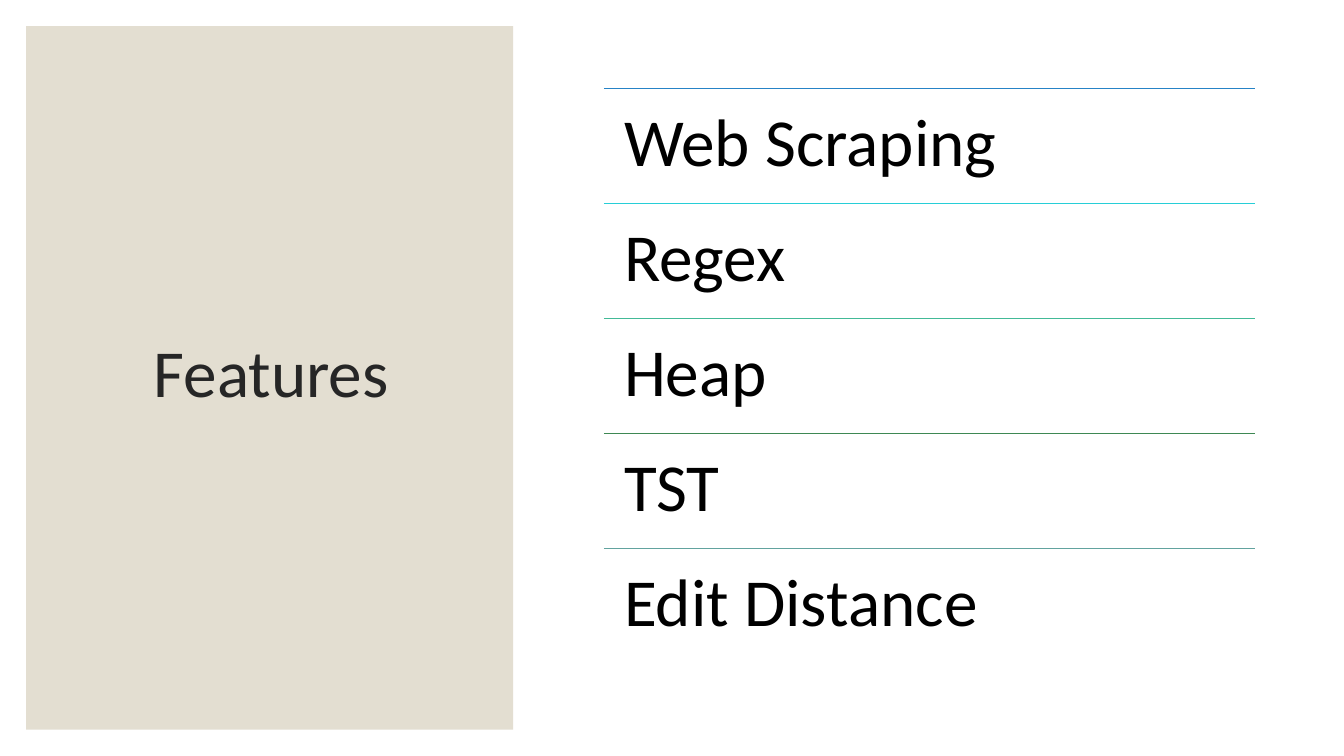
import dataclasses

import lxml.etree
import pptx
import pptx.dml.color
import pptx.enum.shapes
import pptx.enum.text
import pptx.oxml.ns
import pptx.slide
import pptx.util

Inches = pptx.util.Inches
Color = pptx.dml.color.RGBColor
Align = pptx.enum.text.PP_ALIGN
Anchor = pptx.enum.text.MSO_ANCHOR

WHITE = Color(0xFF, 0xFF, 0xFF)
SAND = Color(0xE3, 0xDE, 0xD1)
DARK = Color(0x26, 0x26, 0x26)
BLACK = Color(0x00, 0x00, 0x00)
BLUE = Color(0x26, 0x83, 0xC6)
CYAN = Color(0x27, 0xCE, 0xD7)
MINT = Color(0x42, 0xBA, 0x97)
GREEN = Color(0x3E, 0x88, 0x53)
TEAL = Color(0x62, 0xA3, 0x9F)

LEFT, TOP, WIDTH, PITCH = 5.99, 0.88, 6.46, 1.14


@dataclasses.dataclass(frozen=True)
class Box:
    left: float
    top: float
    width: float
    height: float

    def sizes(self) -> list[int]:
        return [Inches(side) for side in dataclasses.astuple(self)]


@dataclasses.dataclass(frozen=True)
class Feature:
    label: str
    color: Color


FEATURES = [
    Feature("Web Scraping", BLUE),
    Feature("Regex", CYAN),
    Feature("Heap", MINT),
    Feature("TST", GREEN),
    Feature("Edit Distance", TEAL),
]


def apply(target: object, values: dict) -> None:
    for name, value in values.items():
        setattr(target, name, value)


def add_panel(slide: pptx.slide.Slide, box: Box, color: Color) -> None:
    panel = slide.shapes.add_shape(
        pptx.enum.shapes.MSO_SHAPE.RECTANGLE, *box.sizes()
    )
    panel.shadow.inherit = False
    panel.fill.solid()
    panel.fill.fore_color.rgb = color
    panel.line.fill.background()


def add_text(slide: pptx.slide.Slide, box: Box, text: str, color: Color,
             inset: tuple[float, float], anchor: Anchor, align: Align) -> None:
    frame = slide.shapes.add_textbox(*box.sizes()).text_frame
    side, edge = map(Inches, inset)
    apply(frame, {
        "word_wrap": True,
        "vertical_anchor": anchor,
        "margin_left": side,
        "margin_right": side,
        "margin_top": edge,
        "margin_bottom": edge,
    })
    line = frame.paragraphs[0]
    apply(line, {"text": text, "alignment": align, "line_spacing": 0.9})
    font = line.runs[0].font
    apply(font, {"name": "Calibri", "size": pptx.util.Pt(48)})
    font.color.rgb = color


def add_rule(slide: pptx.slide.Slide, top: float, color: Color) -> None:
    rule = slide.shapes.add_connector(
        pptx.enum.shapes.MSO_CONNECTOR.STRAIGHT,
        Inches(LEFT), Inches(top), Inches(LEFT + WIDTH), Inches(top),
    )
    rule.line.width = pptx.util.Pt(1)
    rule.line.color.rgb = color
    lxml.etree.SubElement(
        rule._element.spPr, pptx.oxml.ns.qn("a:effectLst")
    )


def main() -> None:
    deck = pptx.Presentation()
    apply(deck, {"slide_width": Inches(13.33), "slide_height": Inches(7.5)})
    slide = deck.slides.add_slide(deck.slide_layouts[6])
    add_panel(slide, Box(0, 0, 13.33, 7.5), WHITE)
    add_panel(slide, Box(0.26, 0.26, 4.83, 6.98), SAND)
    add_text(slide, Box(0.63, 0.61, 4.12, 6.24), "Features", DARK,
             (0.1, 0.05), Anchor.MIDDLE, Align.CENTER)
    for index, feature in enumerate(FEATURES):
        top = TOP + index * PITCH
        add_rule(slide, top, feature.color)
        add_text(slide, Box(LEFT, top, WIDTH, PITCH), feature.label, BLACK,
                 (0.2, 0.2), Anchor.TOP, Align.LEFT)
    deck.save("out.pptx")


if __name__ == "__main__":
    main()
